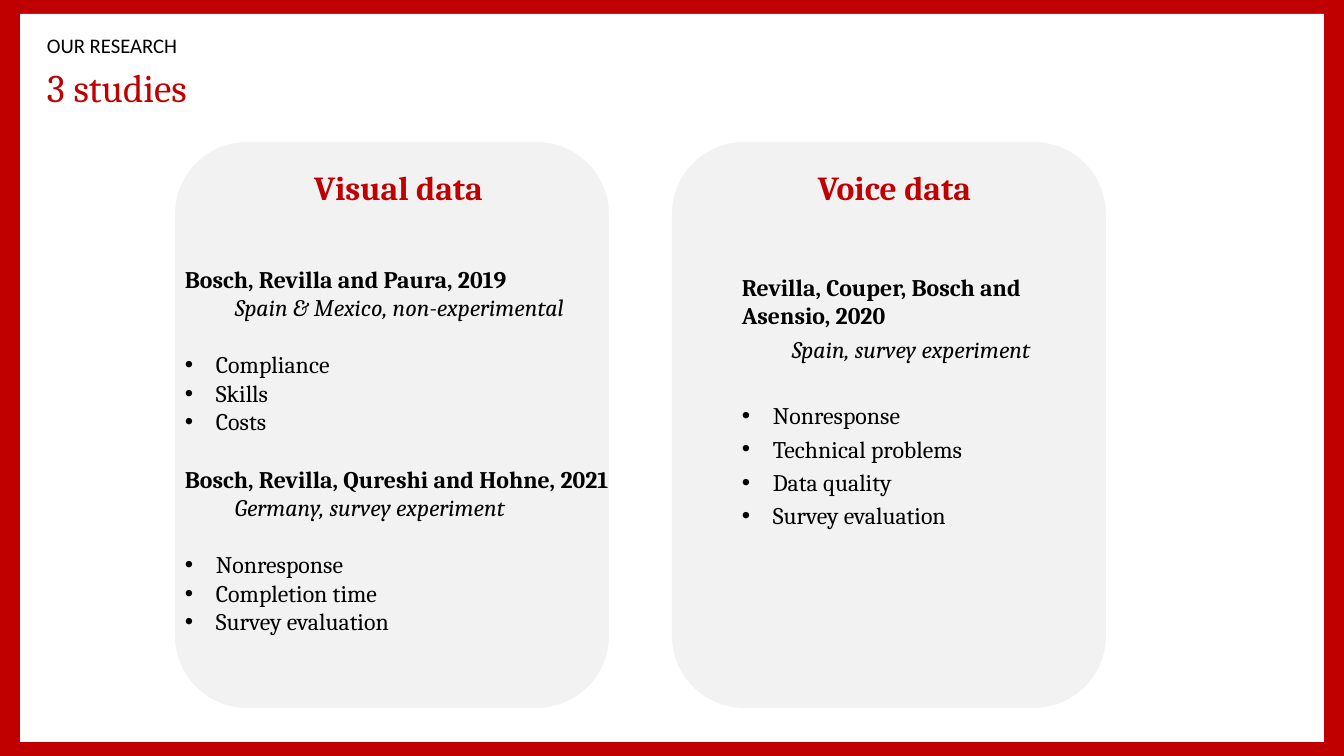
from dataclasses import dataclass

from lxml.etree import SubElement
from pptx import Presentation
from pptx.dml.color import RGBColor
from pptx.enum.shapes import MSO_SHAPE
from pptx.enum.text import MSO_ANCHOR, PP_ALIGN
from pptx.oxml.ns import qn
from pptx.util import Pt

EMU_PER_PX = 914400 / 100.8
PAGE_WIDTH, PAGE_HEIGHT = 1344, 756
CARD_TOP, CARD_WIDTH, CARD_HEIGHT = 142, 434, 566
CARD_TEXT_TOP, CARD_TEXT_HEIGHT = 162, 230
BULLET_HANG = 31


@dataclass(frozen=True)
class Theme:
    """Colours, fonts and type sizes of the slide."""
    red: str = "C00000"
    white: str = "FFFFFF"
    black: str = "000000"
    card: str = "E6E6E6"
    card_opacity: int = 50
    serif: str = "Cambria"
    sans: str = "Calibri"
    title: float = 28
    kicker: float = 14.8
    heading: float = 24
    body: float = 17
    blank_line: float = 20.4


THEME = Theme()


def px(length):
    """Turn pixels into EMU."""
    return round(length * EMU_PER_PX)


def add_panel(page, kind, area, color, opacity=100):
    """Add a borderless filled shape."""
    panel = page.shapes.add_shape(kind, *map(px, area))
    panel.shadow.inherit = False
    panel.line.fill.background()
    panel.fill.solid()
    panel.fill.fore_color.rgb = RGBColor.from_string(color)
    if opacity < 100:
        tint = panel.fill._xPr.find(qn("a:solidFill"))[0]
        SubElement(tint, qn("a:alpha"), val=str(opacity * 1000))


def add_frame(page, area, anchor=MSO_ANCHOR.TOP):
    """Add a wrapping text box and return its text frame."""
    frame = page.shapes.add_textbox(*map(px, area)).text_frame
    frame.word_wrap = True
    frame.vertical_anchor = anchor
    return frame


def write(para, text, size, color, font=THEME.serif, bold=False, italic=False):
    """Set the text of a paragraph and format it."""
    para.text = text
    for span in para.runs:
        span.font.name = font
        span.font.size = Pt(size)
        span.font.color.rgb = RGBColor.from_string(color)
        span.font.bold = bold
        span.font.italic = italic


def add_line(page, area, text, size, color, font, spacing):
    """Add a one-line text centred vertically in its box."""
    para = add_frame(page, area, MSO_ANCHOR.MIDDLE).paragraphs[0]
    para.line_spacing = spacing
    write(para, text, size, color, font)


def add_item(frame, text, before, left, bullet=False, **style):
    """Add an indented body paragraph, with a bullet if wanted."""
    para = frame.add_paragraph()
    properties = para._p.get_or_add_pPr()
    properties.set("marL", str(px(left)))
    properties.set("indent", str(-px(BULLET_HANG) if bullet else 0))
    if bullet:
        SubElement(properties, qn("a:buFont"), typeface="Arial")
        SubElement(properties, qn("a:buChar"), char="•")
    para.space_before = Pt(before)
    write(para, text, THEME.body, THEME.black, **style)


def add_card(page, card_left, text_left, text_width, heading, studies, margin, gap, first_gap):
    """Add a rounded card with a heading and its studies."""
    add_panel(page, MSO_SHAPE.ROUNDED_RECTANGLE,
              (card_left, CARD_TOP, CARD_WIDTH, CARD_HEIGHT), THEME.card, THEME.card_opacity)
    frame = add_frame(page, (text_left, CARD_TEXT_TOP, text_width, CARD_TEXT_HEIGHT))
    title = frame.paragraphs[0]
    title.alignment = PP_ALIGN.CENTER
    write(title, heading, THEME.heading, THEME.red, bold=True)
    section_gap = THEME.blank_line + 2 * gap
    for number, (authors, design, topics) in enumerate(studies):
        add_item(frame, authors, section_gap if number else first_gap, margin, bold=True)
        add_item(frame, design, gap, margin + 50, italic=True)
        for position, topic in enumerate(topics):
            add_item(frame, topic, gap if position else section_gap,
                     margin + BULLET_HANG, bullet=True)


def main():
    """Build the slide and save it."""
    deck = Presentation()
    deck.slide_width, deck.slide_height = px(PAGE_WIDTH), px(PAGE_HEIGHT)
    page = deck.slides.add_slide(deck.slide_layouts[6])
    add_panel(page, MSO_SHAPE.RECTANGLE, (0, 0, PAGE_WIDTH, PAGE_HEIGHT), THEME.red)
    add_panel(page, MSO_SHAPE.RECTANGLE, (20, 14, 1304, 728), THEME.white)
    add_line(page, (37, 66, 1176, 47), "3 studies", THEME.title, THEME.red, THEME.serif, 0.9)
    add_line(page, (37, 32, 1137, 31), "OUR RESEARCH", THEME.kicker, THEME.black, THEME.sans, 0.8)
    voice = [("Revilla, Couper, Bosch and Asensio, 2020", "Spain, survey experiment",
              ["Nonresponse", "Technical problems", "Data quality", "Survey evaluation"])]
    visual = [("Bosch, Revilla and Paura, 2019", "Spain & Mexico, non-experimental",
               ["Compliance", "Skills", "Costs"]),
              ("Bosch, Revilla, Qureshi and Hohne, 2021", "Germany, survey experiment",
               ["Nonresponse", "Completion time", "Survey evaluation"])]
    add_card(page, 672, 701, 387, "Voice data", voice, margin=31, gap=3.4, first_gap=46.6)
    add_card(page, 175, 175, 447, "Visual data", visual, margin=0, gap=0, first_gap=40.8)
    deck.save("out.pptx")


if __name__ == "__main__":
    main()
